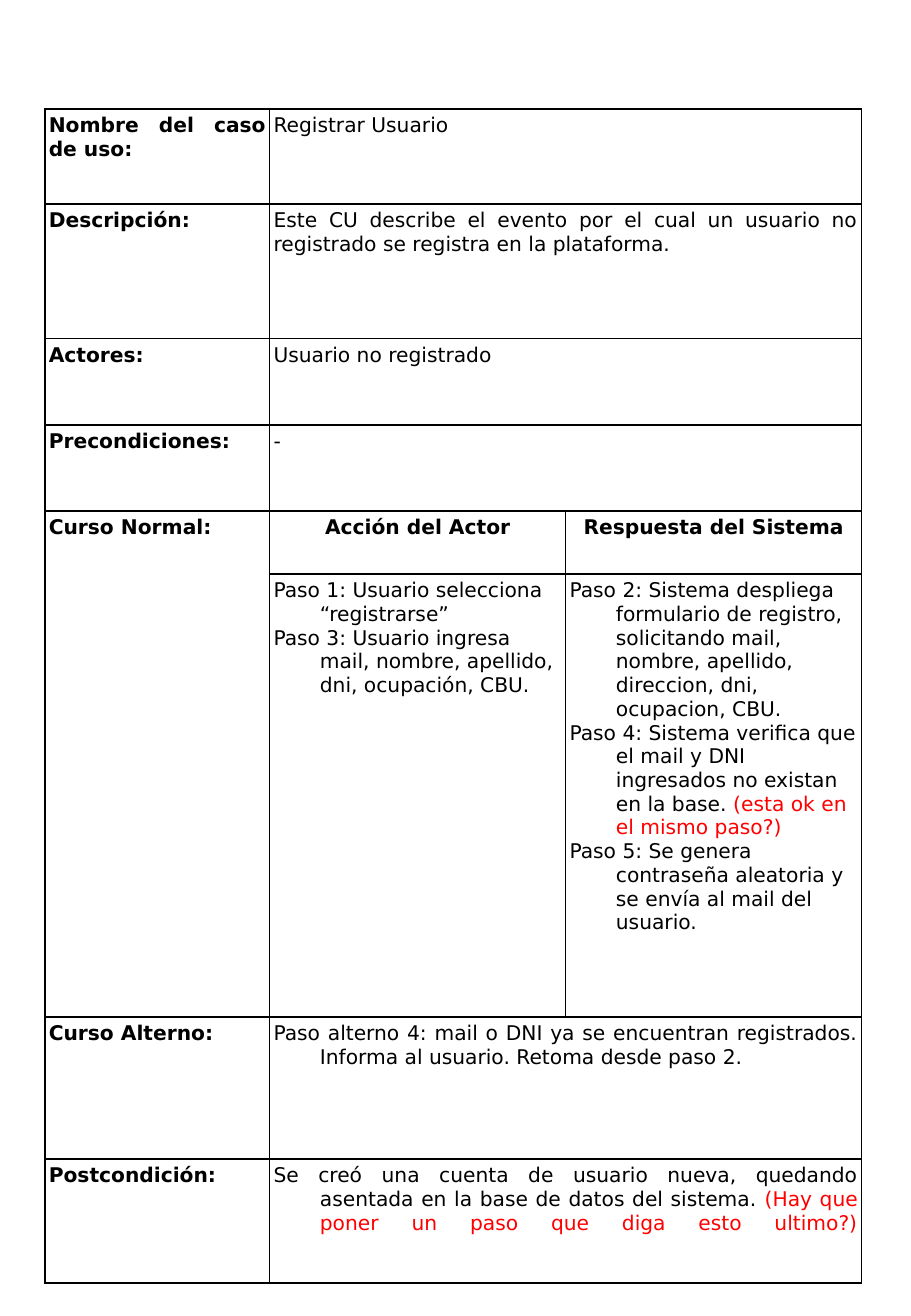
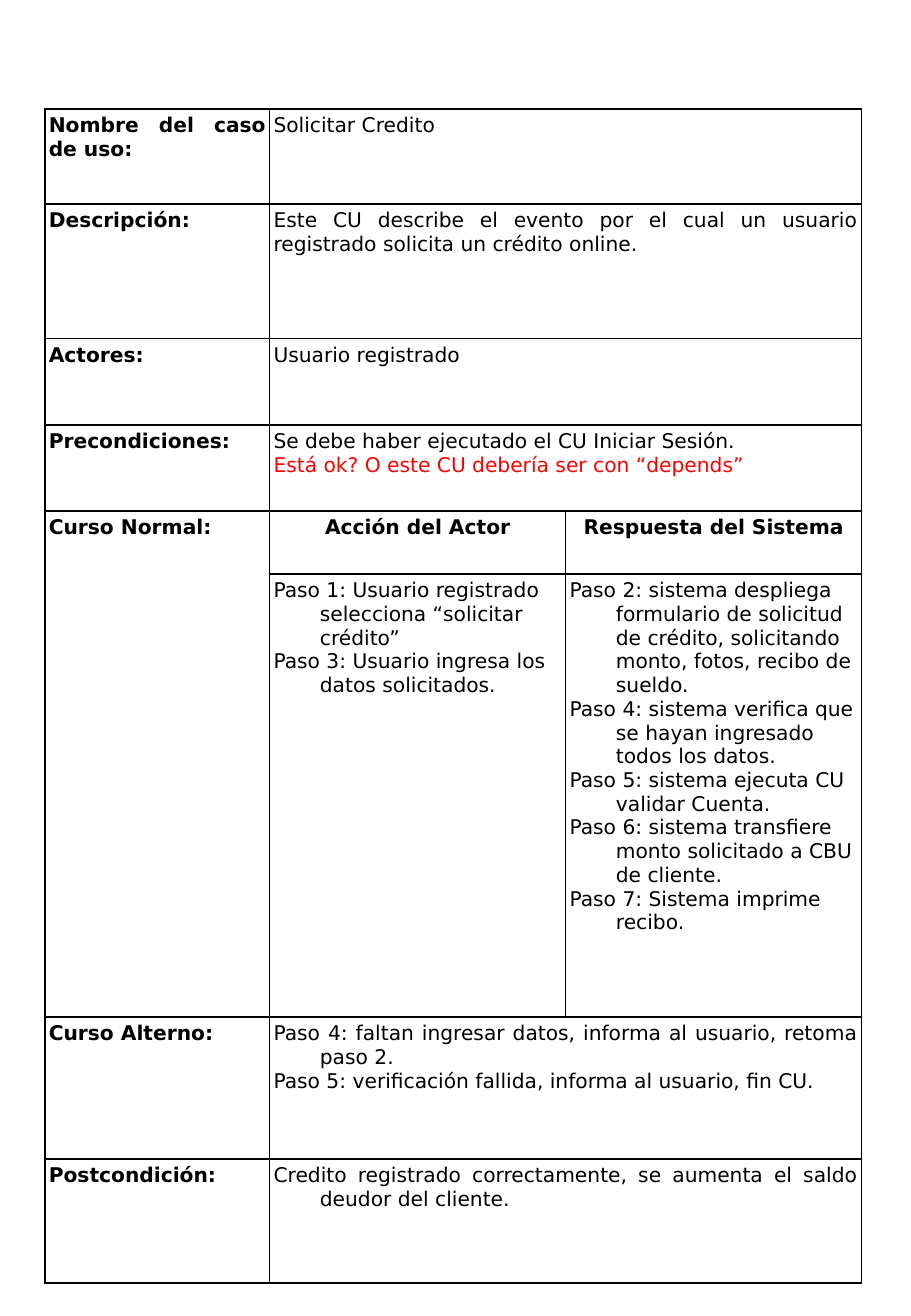
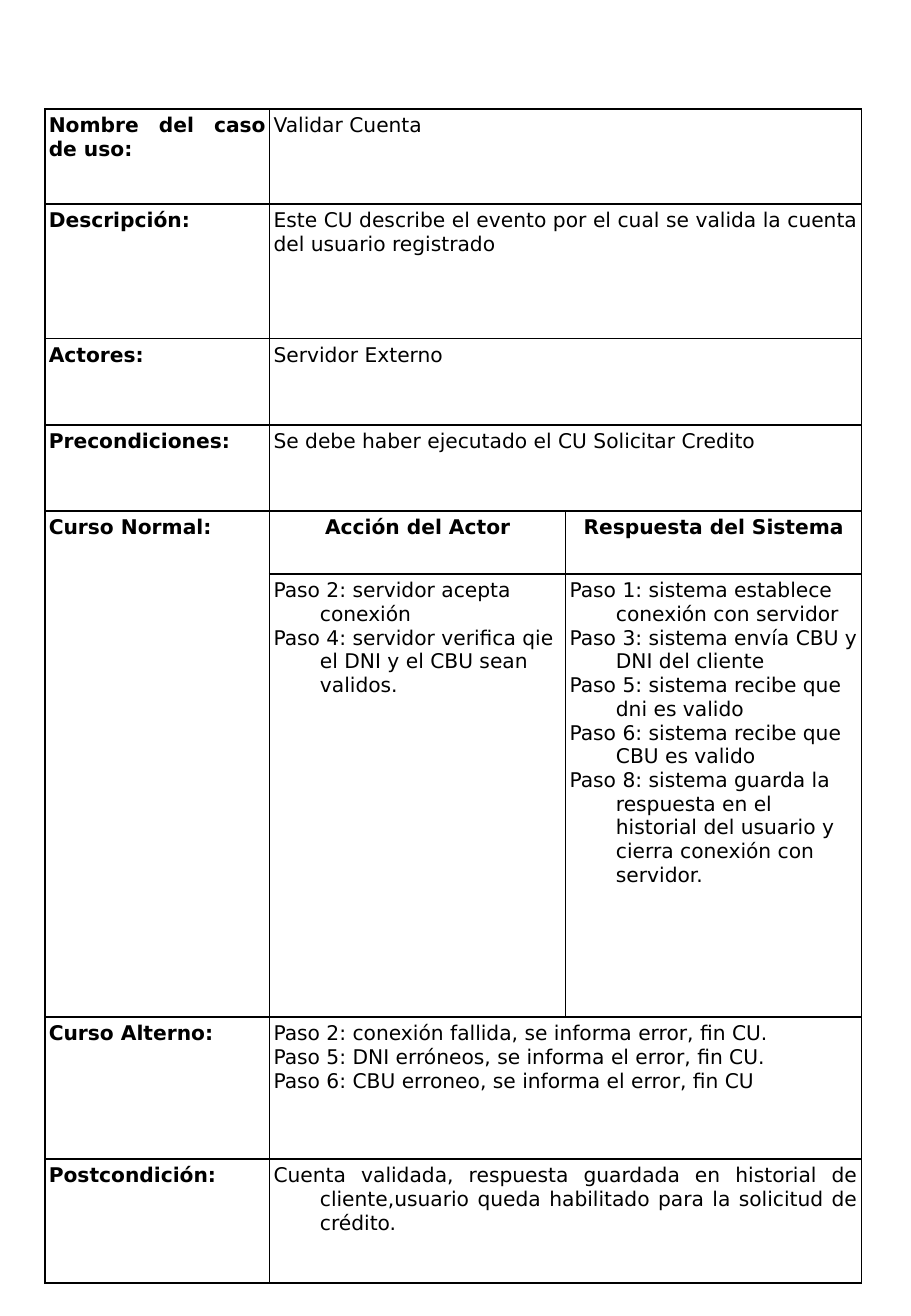
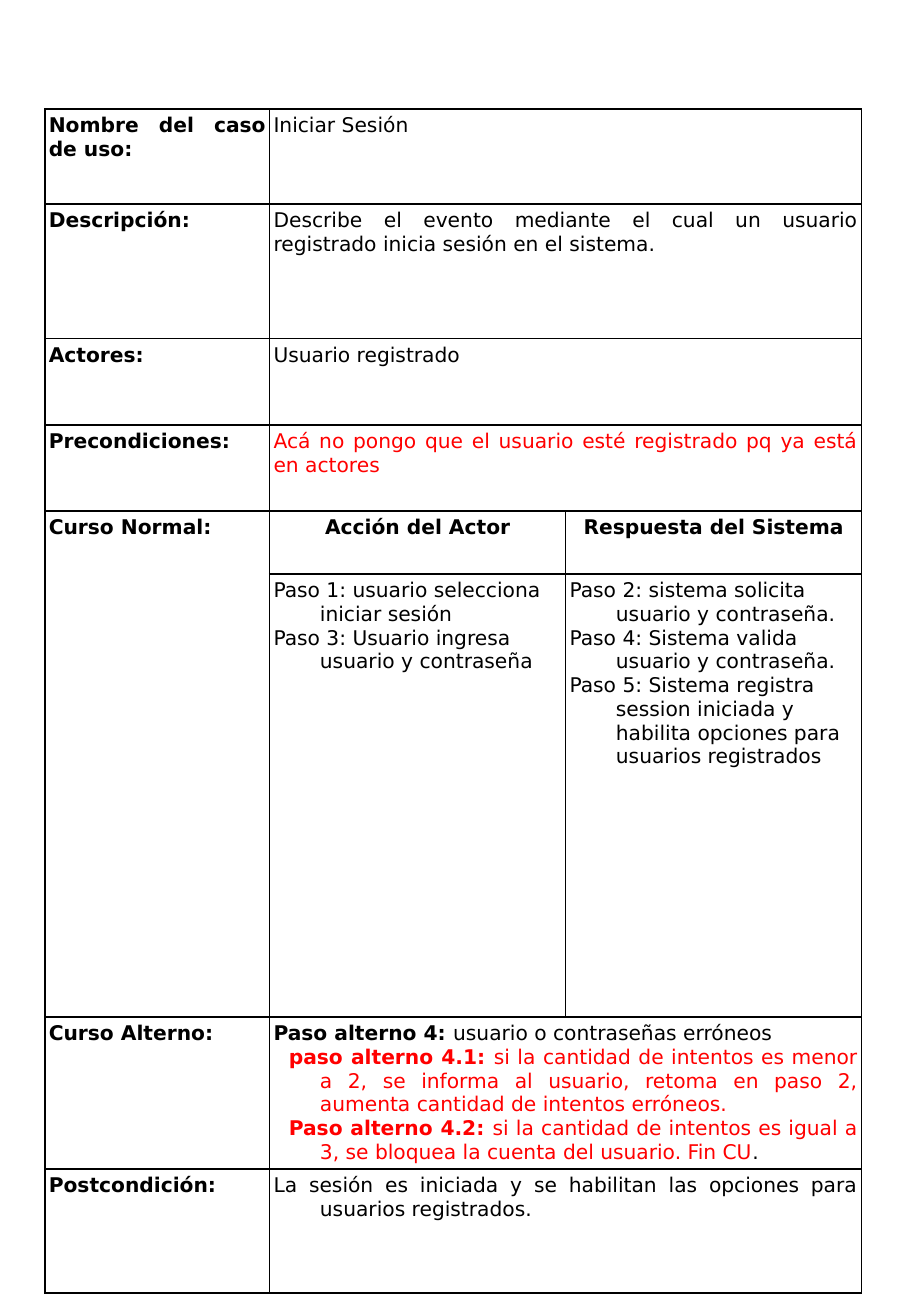
from dataclasses import dataclass, field
from lxml.etree import SubElement as Sub
from pptx import Presentation as Deck
from pptx.dml.color import RGBColor as Rgb
from pptx.enum.text import MSO_ANCHOR as Anchor, PP_ALIGN as Align
from pptx.oxml.ns import qn
from pptx.util import Cm, Pt


@dataclass(frozen=True)
class Theme:
    font: str = "DejaVu Sans"
    size: float = 12
    ink: str = "000000"
    note: str = "FF0000"
    line: float = 1
    wide: float = 19.05
    high: float = 27.51
    left: float = 0.94
    top: float = 2.28
    cols: tuple = (4.7, 6.19, 6.19)
    rows: tuple = (1.98, 2.82, 1.8, 1.8, 1.32, 9.26, 2.97, 2.59)
    padx: float = 0.08
    pady: float = 0.1
    hang: float = 0.97


T = Theme()


@dataclass
class Run:
    text: str
    bold: bool = False
    tint: str = T.ink
    feed: bool = False


@dataclass
class Para:
    runs: list
    first: float = -T.hang


@dataclass
class Case:
    name: str
    about: str
    actor: str
    needs: list
    acts: list
    replies: list
    other: list
    result: list = field(default_factory=list)


def note(text, bold=False, feed=False):
    return Run(text, bold, T.note, feed)


def edge(cell):
    props = cell._tc.get_or_add_tcPr()
    for spot, side in enumerate(("lnL", "lnR", "lnT", "lnB")):
        line = Sub(props, qn(f"a:{side}"), w=str(Pt(T.line)))
        Sub(Sub(line, qn("a:solidFill")), qn("a:srgbClr"), val=T.ink)
        props.insert(spot, line)


def style(cell):
    cell.fill.background()
    cell.margin_left = cell.margin_right = Cm(T.padx)
    cell.margin_top = cell.margin_bottom = Cm(T.pady)
    cell.vertical_anchor = Anchor.TOP
    edge(cell)


def indent(para, left, first):
    props = para._p.get_or_add_pPr()
    props.set("marL", str(Cm(left)))
    props.set("indent", str(Cm(first)))


def add_run(para, item):
    run = para.add_run()
    run.text = item.text
    run.font.name = T.font
    run.font.size = Pt(T.size)
    run.font.bold = item.bold
    run.font.color.rgb = Rgb.from_string(item.tint)
    if item.feed:
        para.add_line_break()


def write(cell, items, align=Align.JUSTIFY, hang=False):
    frame = cell.text_frame
    for spot, item in enumerate(items):
        if isinstance(item, str):
            item = Run(item)
        if isinstance(item, Run):
            item = Para([item])
        para = frame.add_paragraph() if spot else frame.paragraphs[0]
        para.alignment = align
        if hang:
            indent(para, T.hang, item.first)
        for run in item.runs:
            add_run(para, run)


def add_grid(slide):
    grid = slide.shapes.add_table(
        len(T.rows), len(T.cols), Cm(T.left), Cm(T.top),
        Cm(sum(T.cols)), Cm(sum(T.rows))).table
    grid.first_row = grid.horz_banding = False
    for col, wide in zip(grid.columns, T.cols):
        col.width = Cm(wide)
    for row, high in zip(grid.rows, T.rows):
        row.height = Cm(high)
    for cell in grid.iter_cells():
        style(cell)
    for row in (0, 1, 2, 3, 6, 7):
        grid.cell(row, 1).merge(grid.cell(row, 2))
    grid.cell(4, 0).merge(grid.cell(5, 0))
    return grid


def add_case(deck, case):
    grid = add_grid(deck.slides.add_slide(deck.slide_layouts[6]))
    for row, label, items in (
        (0, "Nombre del caso de uso:", [case.name]),
        (1, "Descripción:", [case.about]),
        (2, "Actores:", [case.actor]),
        (3, "Precondiciones:", case.needs),
        (4, "Curso Normal:", []),
        (6, "Curso Alterno:", case.other),
        (7, "Postcondición:", case.result),
    ):
        hang = row > 3
        write(grid.cell(row, 0), [Run(label, True)], hang=hang)
        write(grid.cell(row, 1), items, hang=hang)
    for col, head, steps in (
        (1, "Acción del Actor", case.acts),
        (2, "Respuesta del Sistema", case.replies),
    ):
        write(grid.cell(4, col), [Run(head, True)], Align.CENTER, True)
        write(grid.cell(5, col), steps, Align.LEFT, True)


CASES = (
    Case(
        "Registrar Usuario",
        "Este CU describe el evento por el cual un usuario no registrado se registra en la plataforma.",
        "Usuario no registrado",
        ["-"],
        ["Paso 1: Usuario selecciona “registrarse”",
         "Paso 3: Usuario ingresa mail, nombre, apellido, dni, ocupación, CBU."],
        ["Paso 2: Sistema despliega formulario de registro, solicitando mail, nombre, apellido, direccion, dni, ocupacion, CBU.",
         Para([Run("Paso 4: Sistema verifica que el mail y DNI ingresados no existan en la base. "),
               note("(esta ok en el mismo paso?)")]),
         "Paso 5: Se genera contraseña aleatoria y se envía al mail del usuario."],
        ["Paso alterno 4: mail o DNI ya se encuentran registrados. Informa al usuario. Retoma desde paso 2."],
        [Para([Run("Se creó una cuenta de usuario nueva, quedando asentada en la base de datos del sistema. "),
               note("(Hay que poner un paso que diga esto ultimo?)", feed=True)])],
    ),
    Case(
        "Solicitar Credito",
        "Este CU describe el evento por el cual un usuario registrado solicita un crédito online.",
        "Usuario registrado",
        ["Se debe haber ejecutado el CU Iniciar Sesión.",
         note("Está ok? O este CU debería ser con “depends”")],
        ["Paso 1: Usuario registrado selecciona “solicitar crédito”",
         "Paso 3: Usuario ingresa los datos solicitados."],
        ["Paso 2: sistema despliega formulario de solicitud de crédito, solicitando monto, fotos, recibo de sueldo.",
         "Paso 4: sistema verifica que se hayan ingresado todos los datos.",
         "Paso 5: sistema ejecuta CU validar Cuenta.",
         "Paso 6: sistema transfiere monto solicitado a CBU de cliente.",
         "Paso 7: Sistema imprime recibo."],
        ["Paso 4: faltan ingresar datos, informa al usuario, retoma paso 2.",
         "Paso 5: verificación fallida, informa al usuario, fin CU."],
        ["Credito registrado correctamente, se aumenta el saldo deudor del cliente."],
    ),
    Case(
        "Validar Cuenta",
        "Este CU describe el evento por el cual se valida la cuenta del usuario registrado",
        "Servidor Externo",
        ["Se debe haber ejecutado el CU Solicitar Credito"],
        ["Paso 2: servidor acepta conexión",
         "Paso 4: servidor verifica qie el DNI y el CBU sean validos."],
        ["Paso 1: sistema establece conexión con servidor",
         "Paso 3: sistema envía CBU y DNI del cliente",
         "Paso 5: sistema recibe que dni es valido",
         "Paso 6: sistema recibe que CBU es valido",
         "Paso 8: sistema guarda la respuesta en el historial del usuario y cierra conexión con servidor."],
        ["Paso 2: conexión fallida, se informa error, fin CU.",
         "Paso 5: DNI erróneos, se informa el error, fin CU.",
         "Paso 6: CBU erroneo, se informa el error, fin CU"],
        ["Cuenta validada, respuesta guardada en historial de cliente,usuario queda habilitado para la solicitud de crédito."],
    ),
    Case(
        "Iniciar Sesión",
        "Describe el evento mediante el cual un usuario registrado inicia sesión en el sistema.",
        "Usuario registrado",
        [note("Acá no pongo que el usuario esté registrado pq ya está en actores")],
        ["Paso 1: usuario selecciona iniciar sesión",
         "Paso 3: Usuario ingresa usuario y contraseña"],
        ["Paso 2: sistema solicita usuario y contraseña.",
         "Paso 4: Sistema valida usuario y contraseña.",
         "Paso 5: Sistema registra session iniciada y habilita opciones para usuarios registrados"],
        [Para([Run("Paso alterno 4: ", True), Run("usuario o contraseñas erróneos")]),
         Para([note("paso alterno 4.1: ", True),
               note("si la cantidad de intentos es menor a 2, se informa al usuario, retoma en paso 2, aumenta cantidad de intentos erróneos.")],
              -0.65),
         Para([note("Paso alterno 4.2: ", True),
               note("si la cantidad de intentos es igual a 3, se bloquea la cuenta del usuario. Fin CU"),
               Run(".")],
              -0.65)],
        ["La sesión es iniciada y se habilitan las opciones para usuarios registrados."],
    ),
)


def main():
    deck = Deck()
    deck.slide_width = Cm(T.wide)
    deck.slide_height = Cm(T.high)
    for case in CASES:
        add_case(deck, case)
    deck.save("out.pptx")


if __name__ == "__main__":
    main()
